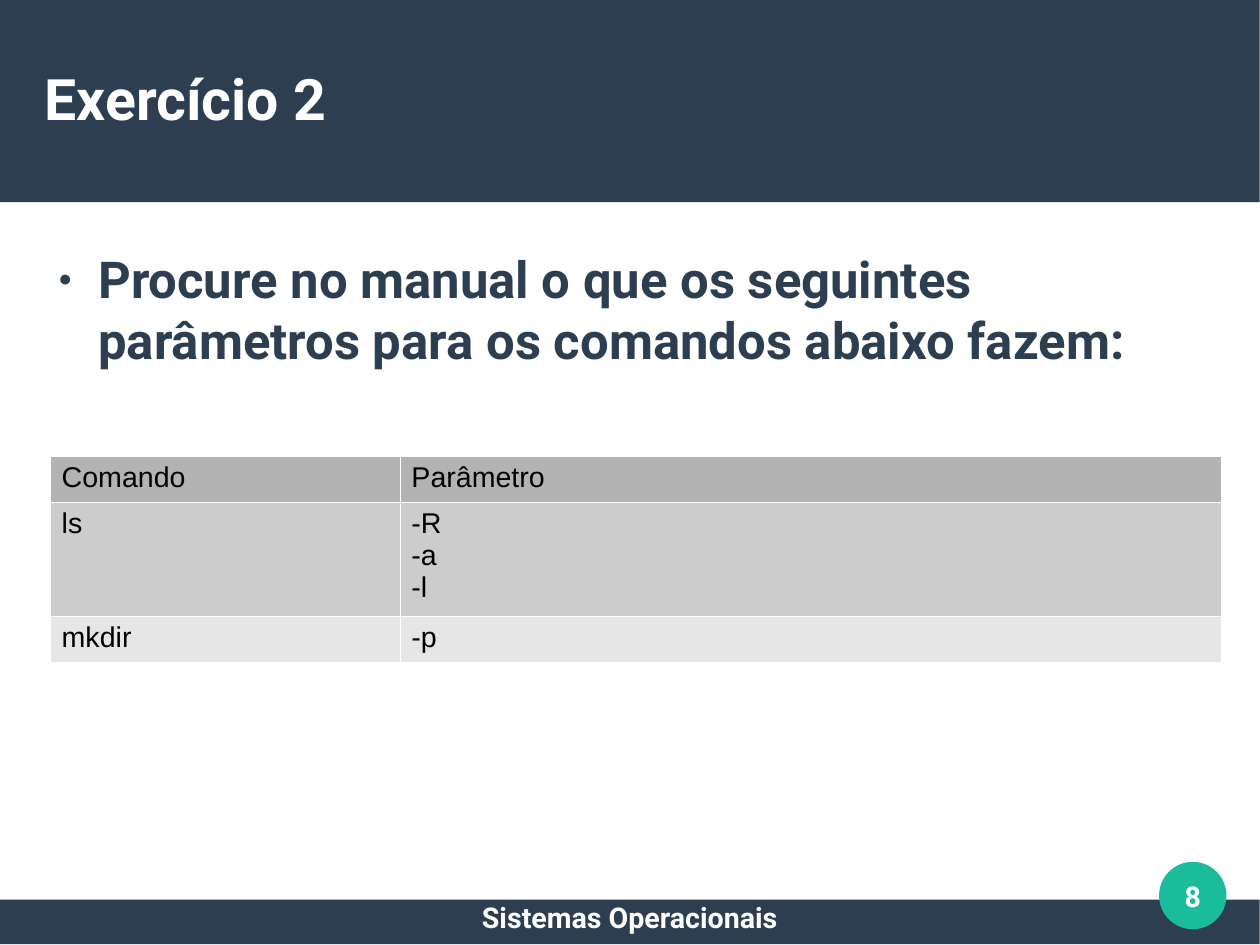
import pptx
import pptx.util
import pptx.dml.color
import pptx.enum.shapes
import pptx.enum.text
import pptx.oxml
import pptx.oxml.ns

Inches = pptx.util.Inches
ALIGN = pptx.enum.text.PP_ALIGN
ANCHOR = pptx.enum.text.MSO_ANCHOR
SHAPE = pptx.enum.shapes.MSO_SHAPE
NS = pptx.oxml.ns.nsdecls("a")
MM_PER_INCH = 25.4
COLORS = {
    "navy": "2C3E50", "teal": "1ABC9C", "white": "FFFFFF", "black": "000000",
    "header": "B3B3B3", "odd": "CCCCCC", "even": "E6E6E6",
}


def rgb(name):
    return pptx.dml.color.RGBColor.from_string(COLORS[name])


def write(frame, text, size=18, font="Roboto", color="white", bold=True,
          align=ALIGN.LEFT, anchor=ANCHOR.TOP):
    """Fill a text frame with one paragraph per line of text."""
    frame.word_wrap = True
    frame.vertical_anchor = anchor
    frame.margin_left = frame.margin_right = 0
    frame.margin_top = frame.margin_bottom = 0
    frame.text = text
    for paragraph in frame.paragraphs:
        paragraph.alignment = align
        for run in paragraph.runs:
            run.font.name = font
            run.font.size = pptx.util.Pt(size)
            run.font.bold = bold
            run.font.color.rgb = rgb(color)
        paragraph._p.append(pptx.oxml.parse_xml(
            f'<a:endParaRPr {NS} sz="{size * 100}"><a:latin typeface="{font}"/>'
            '</a:endParaRPr>'))


class LessonSlide:
    def __init__(self, deck):
        self.slide = deck.slides.add_slide(deck.slide_layouts[5])
        self.shapes = self.slide.shapes

    def block(self, kind, color, *box):
        block = self.shapes.add_shape(kind, *map(Inches, box))
        block.shadow.inherit = False
        block.fill.solid()
        block.fill.fore_color.rgb = rgb(color)
        block.line.fill.background()

    def title(self, text, *box):
        heading = self.shapes.title
        heading.left, heading.top, heading.width, heading.height = map(Inches, box)
        heading.text_frame.auto_size = pptx.enum.text.MSO_AUTO_SIZE.NONE
        write(heading.text_frame, text, size=36, anchor=ANCHOR.MIDDLE)
        self.shapes._spTree.append(heading._element)

    def text(self, text, *box, **style):
        holder = self.shapes.add_textbox(*map(Inches, box))
        write(holder.text_frame, text, **style)
        return holder.text_frame

    def bullet(self, text, *box, **style):
        paragraph = self.text(text, *box, **style).paragraphs[0]
        paragraph.space_after = pptx.util.Pt(14.1)
        properties = paragraph._p.get_or_add_pPr()
        properties.set("marL", str(Inches(0.47)))
        properties.set("indent", str(Inches(-0.35)))
        for mark in (f'<a:buClr {NS}><a:srgbClr val="{COLORS["navy"]}"/></a:buClr>',
                     f'<a:buSzPct {NS} val="45000"/>',
                     f'<a:buFont {NS} typeface="Arial"/>',
                     f'<a:buChar {NS} char="●"/>'):
            properties.append(pptx.oxml.parse_xml(mark))

    def borders(self, cell):
        for side in "LRTB":
            cell._tc.get_or_add_tcPr().append(pptx.oxml.parse_xml(
                f'<a:ln{side} {NS} w="720"><a:solidFill>'
                f'<a:srgbClr val="{COLORS["white"]}"/></a:solidFill></a:ln{side}>'))

    def table(self, rows, fills, widths, heights, left, top):
        grid = self.shapes.add_table(
            len(rows), len(widths), Inches(left), Inches(top),
            Inches(sum(widths)), Inches(sum(heights))).table
        for column, width in zip(grid.columns, widths):
            column.width = Inches(width)
        for row, height, texts, fill in zip(grid.rows, heights, rows, fills):
            row.height = Inches(height)
            for cell, text in zip(row.cells, texts):
                self.borders(cell)
                cell.fill.solid()
                cell.fill.fore_color.rgb = rgb(fill)
                write(cell.text_frame, text, font="Arial", color="black", bold=False)
                cell.margin_left = cell.margin_right = Inches(0.1)
                cell.margin_top = cell.margin_bottom = Inches(0.05)


def main():
    deck = pptx.Presentation()
    deck.slide_width = Inches(280 / MM_PER_INCH)
    deck.slide_height = Inches(210 / MM_PER_INCH)
    lesson = LessonSlide(deck)
    lesson.block(SHAPE.RECTANGLE, "navy", 0, 7.87, 11.02, 0.39)
    lesson.block(SHAPE.RECTANGLE, "navy", 0, 0, 11.02, 1.77)
    lesson.block(SHAPE.OVAL, "teal", 10.14, 7.54, 0.59, 0.59)
    lesson.title("Exercício 2", 0.39, 0.33, 10.24, 1.05)
    lesson.bullet(
        "Procure no manual o que os seguintes parâmetros para os comandos abaixo fazem:",
        0.39, 2.17, 10.24, 2.63, size=32, color="navy")
    lesson.table(
        [("Comando", "Parâmetro"), ("ls", "-R\n-a\n-l"), ("mkdir", "-p")],
        fills=("header", "odd", "even"), widths=(3.06, 7.18),
        heights=(0.38, 0.94, 0.38), left=0.44, top=3.99)
    lesson.text("Sistemas Operacionais", 3.74, 7.87, 3.54, 0.39, align=ALIGN.CENTER)
    lesson.text("8", 10.04, 7.44, 0.79, 0.79, align=ALIGN.CENTER, anchor=ANCHOR.MIDDLE)
    deck.save("out.pptx")


if __name__ == "__main__":
    main()
